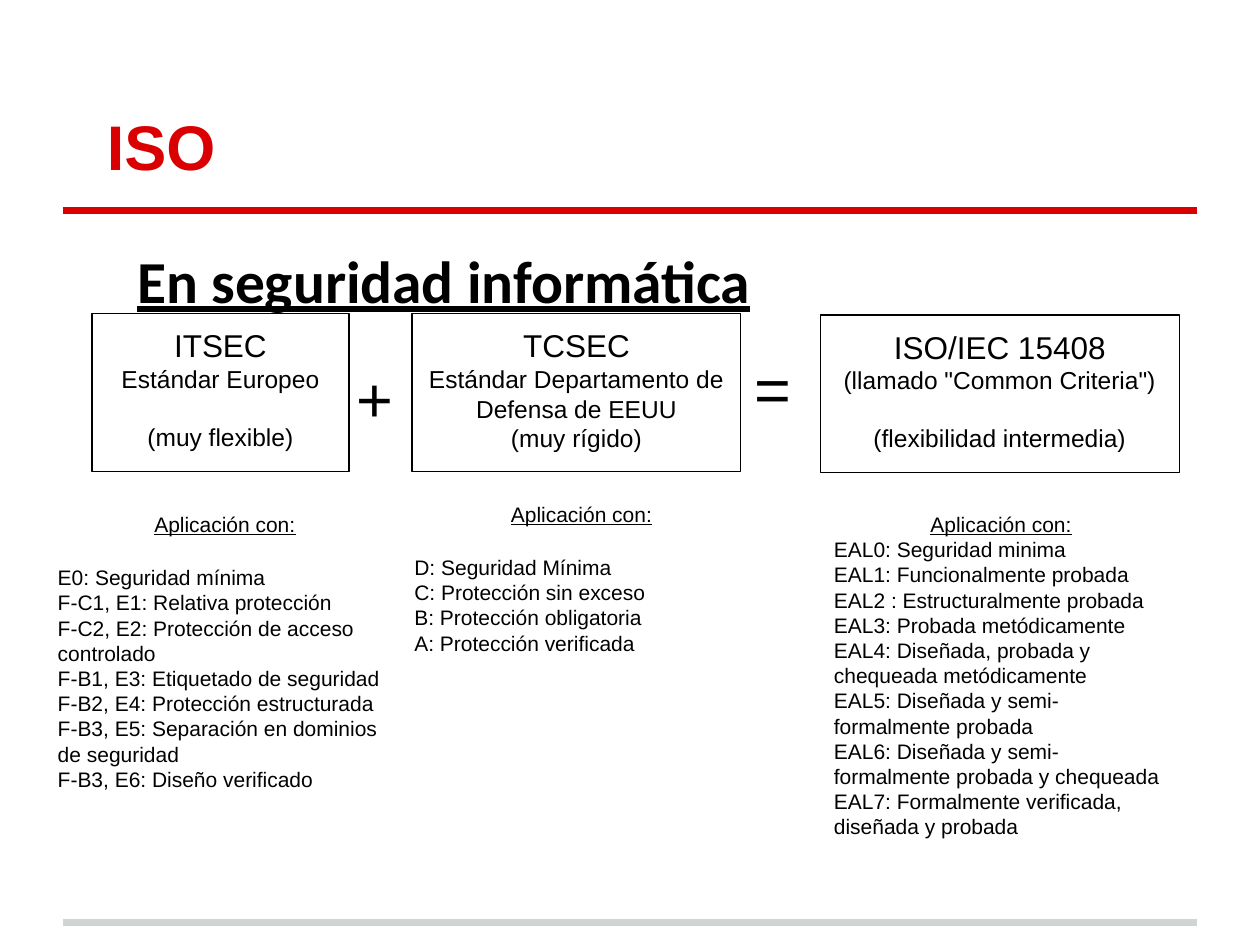
from pptx import Presentation
from pptx.dml.color import RGBColor
from pptx.enum.shapes import MSO_CONNECTOR, MSO_SHAPE
from pptx.enum.text import MSO_ANCHOR, PP_ALIGN
from pptx.oxml.ns import qn
from pptx.util import Inches, Pt
from lxml import etree

STRAIGHT = MSO_CONNECTOR.STRAIGHT
RECTANGLE = MSO_SHAPE.RECTANGLE
TOP, BOTTOM = MSO_ANCHOR.TOP, MSO_ANCHOR.BOTTOM
LEFT, CENTER, JUSTIFY = PP_ALIGN.LEFT, PP_ALIGN.CENTER, PP_ALIGN.JUSTIFY

COLORS = {"red": "DA0002", "gray": "CFD4D4", "black": "000000"}
GAP = 16

STANDARDS = [
    (0.73, 2.49, 2.04, "ITSEC", "Estándar Europeo", "(muy flexible)", GAP),
    (3.27, 2.49, 2.61, "TCSEC", "Estándar Departamento de Defensa de EEUU",
     "(muy rígido)", 0),
    (6.51, 2.5, 2.85, "ISO/IEC 15408", '(llamado "Common Criteria")',
     "(flexibilidad intermedia)", GAP),
]
OPERATORS = [(2.73, 2.75, 0.4, "+"), (5.89, 2.67, 0.69, "=")]
APPLICATIONS = [
    (0.36, 3.96, GAP, [
        "E0: Seguridad mínima",
        "F-C1, E1: Relativa protección",
        "F-C2, E2: Protección de acceso controlado",
        "F-B1, E3: Etiquetado de seguridad",
        "F-B2, E4: Protección estructurada",
        "F-B3, E5: Separación en dominios de seguridad",
        "F-B3, E6: Diseño verificado",
    ]),
    (3.19, 3.88, GAP, [
        "D: Seguridad Mínima",
        "C: Protección sin exceso",
        "B: Protección obligatoria",
        "A: Protección verificada",
    ]),
    (6.52, 3.96, 0, [
        "EAL0: Seguridad minima",
        "EAL1: Funcionalmente probada",
        "EAL2 : Estructuralmente probada",
        "EAL3: Probada metódicamente",
        "EAL4: Diseñada, probada y chequeada metódicamente",
        "EAL5: Diseñada y semi-formalmente probada",
        "EAL6: Diseñada y semi-formalmente probada y chequeada",
        "EAL7: Formalmente verificada, diseñada y probada",
    ]),
]


class SlideBuilder:
    """Draws styled elements on the current slide."""

    def __init__(self, slide, font="Arial"):
        self.slide = slide
        self.font = font

    def rule(self, y, color):
        line = self.slide.shapes.add_connector(
            STRAIGHT, Inches(0.5), Inches(y), Inches(9.5), Inches(y))
        line.line.color.rgb = RGBColor.from_string(COLORS[color])
        line.line.width = Pt(4)
        etree.SubElement(line._element.spPr, qn("a:effectLst"))

    def frame(self, shape, anchor=TOP):
        text_frame = shape.text_frame
        text_frame.word_wrap = True
        text_frame.vertical_anchor = anchor
        text_frame.margin_left = text_frame.margin_right = Inches(0.1)
        text_frame.margin_top = text_frame.margin_bottom = Inches(0.1)
        return text_frame

    def text_box(self, x, y, width, height, anchor=TOP):
        box = self.slide.shapes.add_textbox(
            Inches(x), Inches(y), Inches(width), Inches(height))
        return self.frame(box, anchor)

    def box(self, x, y, width, height):
        box = self.slide.shapes.add_shape(
            RECTANGLE, Inches(x), Inches(y), Inches(width), Inches(height))
        box.shadow.inherit = False
        box.fill.background()
        box.line.color.rgb = RGBColor.from_string(COLORS["black"])
        box.line.width = Pt(0.75)
        return self.frame(box)

    def paragraph(self, text_frame, text, size, align=LEFT, color="black",
                  font=None, bold=False, underline=False, before=0):
        first = text_frame.paragraphs[0]
        paragraph = text_frame.add_paragraph() if first.runs else first
        paragraph.alignment = align
        paragraph.space_before = Pt(before)
        run = paragraph.add_run()
        run.text = text
        run.font.name = font or self.font
        run.font.size = Pt(size)
        run.font.bold = bold
        run.font.underline = underline
        run.font.color.rgb = RGBColor.from_string(COLORS[color])
        return paragraph

    def indent(self, paragraph, margin, first_line):
        properties = paragraph._p.get_or_add_pPr()
        properties.set("marL", str(Inches(margin)))
        properties.set("indent", str(Inches(first_line)))


def main():
    presentation = Presentation()
    presentation.slide_width = Inches(10)
    presentation.slide_height = Inches(7.5)
    builder = SlideBuilder(
        presentation.slides.add_slide(presentation.slide_layouts[6]))

    builder.rule(7.32, "gray")
    builder.rule(1.67, "red")

    subtitle = builder.paragraph(
        builder.text_box(0.5, 1.75, 9, 5.43), "En seguridad informática", 34,
        JUSTIFY, font="Calibri", bold=True, underline=True)
    subtitle.line_spacing = 1.15
    builder.indent(subtitle, 0.49, 0)
    title = builder.paragraph(
        builder.text_box(0.5, 0.3, 9, 1.25, BOTTOM), "ISO", 36,
        color="red", bold=True)
    builder.indent(title, 0, 0.25)

    for x, y, width, name, origin, flexibility, gap in STANDARDS:
        standard = builder.box(x, y, width, 1.25)
        builder.paragraph(standard, name, 18, CENTER)
        builder.paragraph(standard, origin, 14, CENTER)
        builder.paragraph(standard, flexibility, 14, CENTER, before=gap)

    for x, y, width, symbol in OPERATORS:
        builder.paragraph(builder.text_box(x, y, width, 0.69), symbol, 36)

    for x, y, gap, levels in APPLICATIONS:
        application = builder.text_box(x, y, 2.85, 3.14)
        builder.paragraph(application, "Aplicación con:", 12, CENTER,
                          underline=True)
        for index, level in enumerate(levels):
            builder.paragraph(application, level, 12,
                              before=0 if index else gap)

    presentation.save("out.pptx")


if __name__ == "__main__":
    main()
